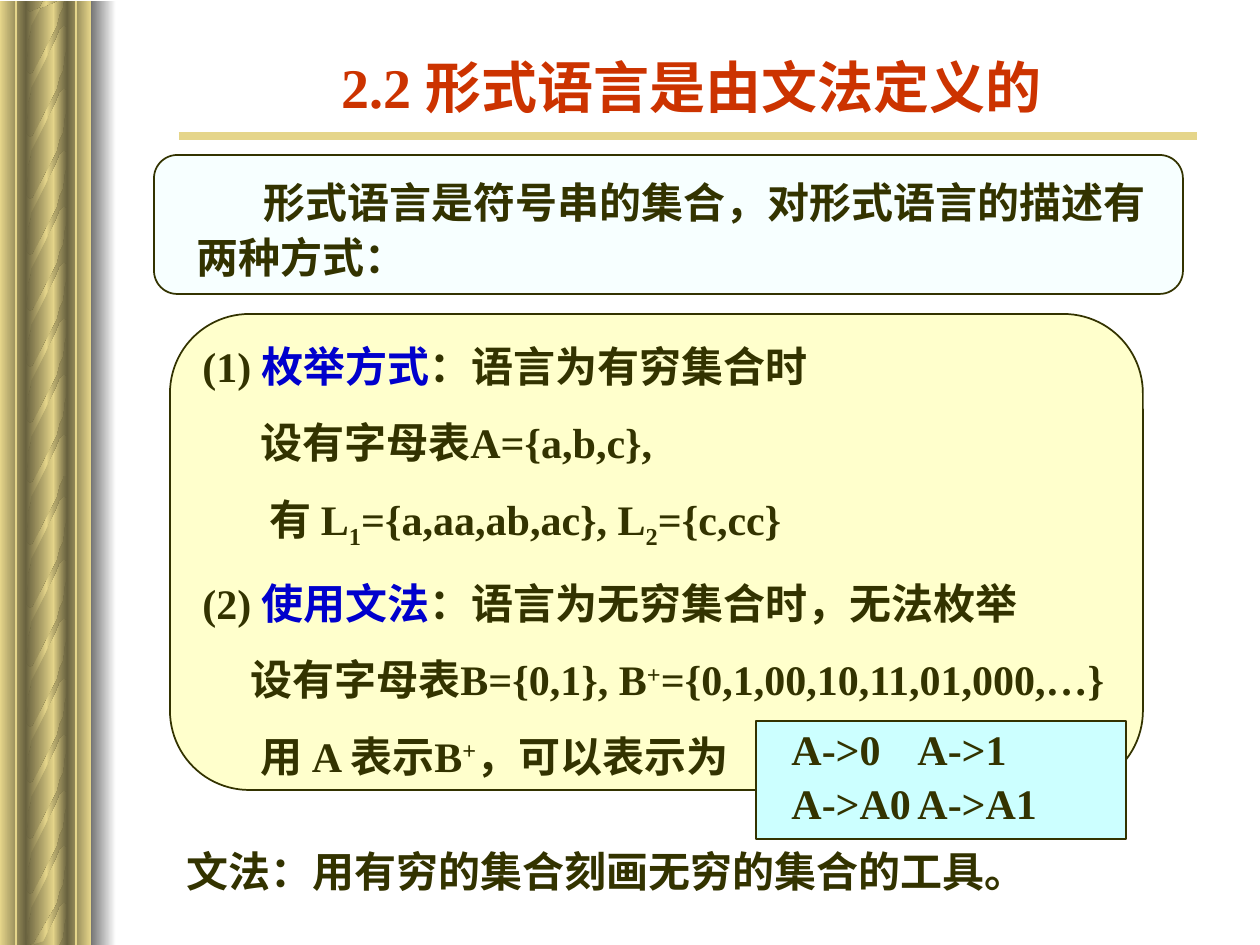
from copy import deepcopy
from dataclasses import dataclass

from lxml import etree
from pptx import Presentation
from pptx.dml.color import RGBColor
from pptx.enum.shapes import MSO_CONNECTOR, MSO_SHAPE
from pptx.enum.text import MSO_ANCHOR, PP_ALIGN
from pptx.oxml.ns import qn
from pptx.util import Pt

RECT = MSO_SHAPE.RECTANGLE
ROUNDED = MSO_SHAPE.ROUNDED_RECTANGLE
STRAIGHT = MSO_CONNECTOR.STRAIGHT
LEFT, CENTER = PP_ALIGN.LEFT, PP_ALIGN.CENTER
MIDDLE, TOP = MSO_ANCHOR.MIDDLE, MSO_ANCHOR.TOP

EMU_PER_PX = 914400 / 126
PAGE_WIDTH, PAGE_HEIGHT = 1260, 945


@dataclass(frozen=True)
class Theme:
    ink: str = "333300"
    title: str = "CC3300"
    keyword: str = "0000CC"
    gold: str = "E5D58A"
    bronze: str = "69623F"
    shade: str = "757575"
    white: str = "FFFFFF"
    intro_fill: str = "F7FFFF"
    body_fill: str = "FFFFCC"
    rules_fill: str = "CCFFFF"
    serif: str = "Times New Roman"
    sans: str = "Arial"
    title_size: int = 32
    text_size: int = 24
    text_gap: int = 15


THEME = Theme()
BASELINES = {"sub": "-25000", "super": "30000"}


def px(length):
    return round(length * EMU_PER_PX)


def rgb(value):
    return RGBColor.from_string(value)


class SlideBuilder:
    def __init__(self, slide, theme):
        self.shapes = slide.shapes
        self.theme = theme

    def _gradient(self, shape, colors):
        shape.shadow.inherit = False
        shape.line.fill.background()
        shape.fill.gradient()
        shape.fill.gradient_angle = 180
        stop_list = shape._element.spPr.find(".//" + qn("a:gsLst"))
        for _ in colors[2:]:
            stop_list.append(deepcopy(stop_list[0]))
        for index, (stop, color) in enumerate(zip(shape.fill.gradient_stops, colors)):
            stop.color.rgb = rgb(color)
            stop.position = index / (len(colors) - 1)

    def band(self, x, y, width, height, colors):
        band = self.shapes.add_shape(RECT, px(x), px(y), px(width), px(height))
        self._gradient(band, colors)

    def strand(self, points, colors):
        outline = self.shapes.build_freeform(*points[0], scale=EMU_PER_PX)
        outline.add_line_segments(points[1:], close=True)
        self._gradient(outline.convert_to_shape(), colors)

    def line(self, x1, y1, x2, y2, width):
        rule = self.shapes.add_connector(STRAIGHT, px(x1), px(y1), px(x2), px(y2))
        rule.line.color.rgb = rgb(self.theme.gold)
        rule.line.width = Pt(width)
        etree.SubElement(rule._element.spPr, qn("a:effectLst"))

    def panel(self, kind, x, y, width, height, fill):
        panel = self.shapes.add_shape(kind, px(x), px(y), px(width), px(height))
        panel.shadow.inherit = False
        panel.fill.solid()
        panel.fill.fore_color.rgb = rgb(fill)
        panel.line.color.rgb = rgb(self.theme.ink)
        panel.line.width = Pt(1)

    def text(self, x, y, width, height, lines, font, size=None, color=None,
             align=LEFT, anchor=TOP, gap=None, spacing=None, tab=None):
        frame = self.shapes.add_textbox(px(x), px(y), px(width), px(height)).text_frame
        frame.word_wrap = True
        frame.vertical_anchor = anchor
        for index, (indent, parts) in enumerate(lines):
            paragraph = frame.add_paragraph() if index else frame.paragraphs[0]
            paragraph.alignment = align
            paragraph.space_before = Pt(self.theme.text_gap if gap is None else gap)
            if spacing:
                paragraph.line_spacing = spacing
            properties = paragraph._p.get_or_add_pPr()
            properties.set("indent", str(px(indent)))
            if tab:
                tabs = etree.SubElement(properties, qn("a:tabLst"))
                etree.SubElement(tabs, qn("a:tab"), pos=str(px(tab)), algn="l")
            for words, role in parts:
                run = paragraph.add_run()
                run.text = words
                run.font.name = font
                run.font.size = Pt(size or self.theme.text_size)
                run.font.bold = True
                run.font.color.rgb = rgb(
                    self.theme.keyword if role == "keyword" else color or self.theme.ink)
                if role in BASELINES:
                    run._r.get_or_add_rPr().set("baseline", BASELINES[role])


STRAND = [
    (67, 11), (67, 42), (65, 41), (63, 41), (62, 42), (59, 45), (54, 57), (43, 79),
    (31, 103), (30, 110), (28, 117), (28, 127), (26, 141), (26, 79), (26, 85), (28, 88),
    (29, 89), (30, 89), (31, 89), (33, 88), (57, 42), (60, 30), (63, 24), (64, 18),
    (65, 9), (67, 0), (67, 25),
]
HALVES = [
    (471, 474, (578, 638, 694, 750, 805, 862, 519, 456)),
    (1, 475, (110, 166, 222, 278, 334, 915, 48, -15, -77, 394)),
]
BODY_LINES = [
    (0, [("(1) ", "plain"), ("枚举方式", "keyword"), ("：语言为有穷集合时", "plain")]),
    (58, [("设有字母表A={a,b,c},", "plain")]),
    (67, [("有 L", "plain"), ("1", "sub"), ("={a,aa,ab,ac}, L", "plain"),
          ("2", "sub"), ("={c,cc}", "plain")]),
    (0, [("(2) ", "plain"), ("使用文法", "keyword"),
         ("：语言为无穷集合时，无法枚举", "plain")]),
    (48, [("设有字母表B={0,1}, B", "plain"), ("+", "super"),
          ("={0,1,00,10,11,01,000,…}", "plain")]),
    (58, [("用 A 表示B", "plain"), ("+", "super"), ("，可以表示为", "plain")]),
]


def draw_column(builder):
    to_light = (THEME.bronze, THEME.gold)
    to_dark = to_light[::-1]
    for top, height, strand_tops in HALVES:
        for x, width, colors in ((53, 14, to_light), (0, 26, to_light),
                                 (26, 28, to_dark), (67, 24, to_dark)):
            builder.band(x, top, width, height, colors)
        for strand_top in strand_tops:
            points = [(x, min(max(strand_top + y, top), PAGE_HEIGHT)) for x, y in STRAND]
            builder.strand(points, (THEME.bronze, THEME.gold, THEME.bronze))
    builder.band(91, 1, 25, 944, (THEME.white, THEME.shade))
    for x in (16, 76):
        builder.line(x, 1, x, PAGE_HEIGHT, 1)


def main():
    deck = Presentation()
    deck.slide_width, deck.slide_height = px(PAGE_WIDTH), px(PAGE_HEIGHT)
    builder = SlideBuilder(deck.slides.add_slide(deck.slide_layouts[6]), THEME)

    draw_column(builder)
    builder.line(179, 136, 1197, 136, 4.5)
    builder.text(207, 59, 969, 55, [(0, [("2.2 形式语言是由文法定义的", "plain")])],
                 THEME.serif, THEME.title_size, THEME.title, CENTER, MIDDLE, gap=0)

    builder.panel(ROUNDED, 154, 155, 1029, 139, THEME.intro_fill)
    intro = "形式语言是符号串的集合，对形式语言的描述有两种方式："
    builder.text(184, 165, 982, 123, [(67, [(intro, "plain")])], THEME.sans, spacing=1.1)

    builder.panel(ROUNDED, 170, 314, 973, 476, THEME.body_fill)
    builder.text(190, 334, 965, 454, BODY_LINES, THEME.serif)

    builder.panel(RECT, 756, 721, 370, 118, THEME.rules_fill)
    rules = [(0, [(pair, "plain")]) for pair in ("A->0\tA->1", "A->A0\tA->A1")]
    builder.text(779, 717, 358, 113, rules, THEME.serif, gap=2, tab=170)

    summary = "文法：用有穷的集合刻画无穷的集合的工具。"
    builder.text(174, 839, 912, 63, [(0, [(summary, "plain")])], THEME.sans)
    deck.save("out.pptx")


if __name__ == "__main__":
    main()
